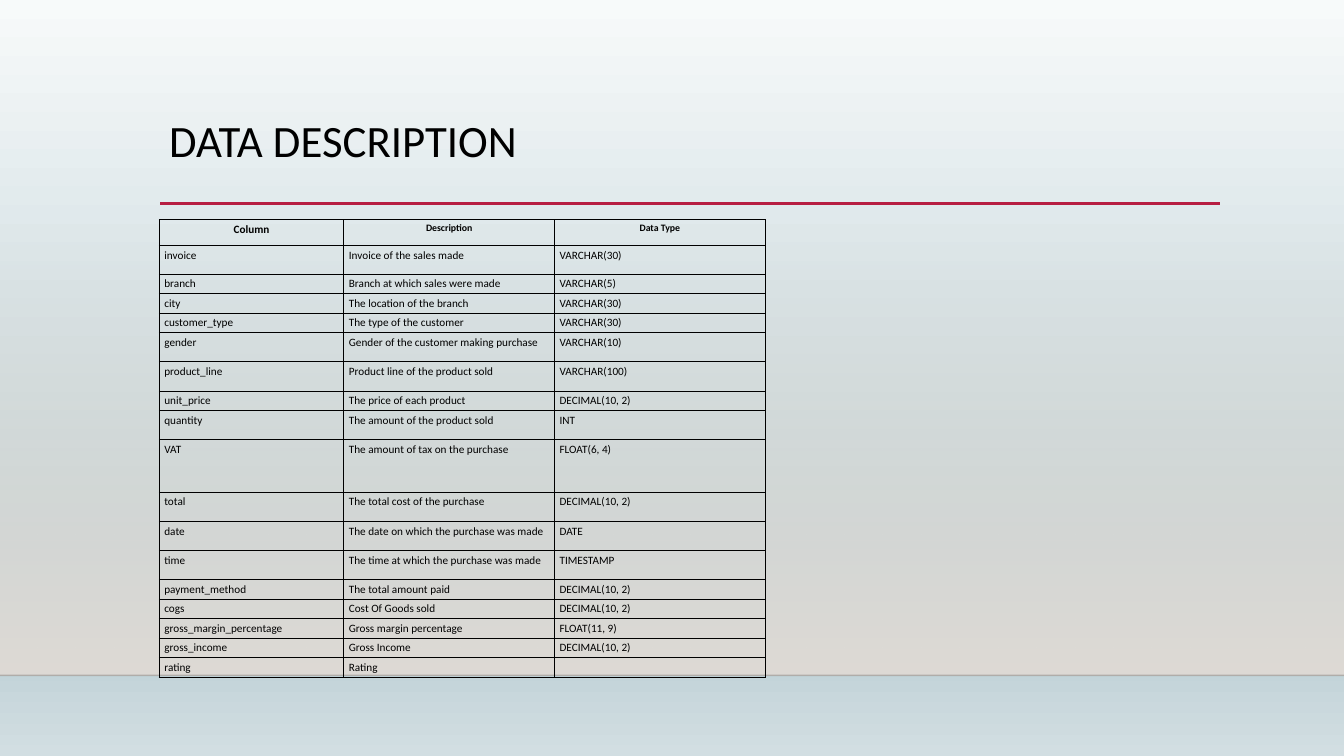
from typing import NamedTuple

import pptx
import pptx.dml.color
import pptx.dml.fill
import pptx.enum.shapes
import pptx.enum.text
import pptx.oxml
import pptx.oxml.ns
import pptx.slide
import pptx.table
import pptx.util
from lxml import etree

Inches = pptx.util.Inches
Pt = pptx.util.Pt
RGBColor = pptx.dml.color.RGBColor
qn = pptx.oxml.ns.qn

FONT = "Calibri"
BLACK = RGBColor(0x00, 0x00, 0x00)
CRIMSON = RGBColor(0xB7, 0x1E, 0x42)
MIST = RGBColor(0xF7, 0xFA, 0xFA)
STEEL = RGBColor(0xBB, 0xCE, 0xD4)
PALE_STEEL = RGBColor(0xD2, 0xDE, 0xE2)
SAND = RGBColor(0xDF, 0xDB, 0xD5)

SLIDE_W, SLIDE_H = 13.33, 7.5
FLOOR_Y = 6.7
COL_WIDTHS = (1.83, 2.09, 2.09)
HEADER_HEIGHT = 0.26
HEADERS = (("Column", 8), ("Description", 7), ("Data Type", 7))


class Stop(NamedTuple):
    position: int
    color: RGBColor
    opacity: int = 100


class Rule(NamedTuple):
    x1: float
    x2: float
    y: float
    color: RGBColor
    width: float
    opacity: int = 100


class Field(NamedTuple):
    name: str
    description: str
    data_type: str
    height: float = 0.19


BACKDROP = (Stop(0, MIST), Stop(74, STEEL), Stop(83, STEEL), Stop(100, PALE_STEEL))
WALL = (Stop(0, SAND, 0), Stop(100, SAND))
RULES = (
    Rule(0, SLIDE_W, FLOOR_Y, BLACK, 1, 20),
    Rule(1.59, 12.1, 2.02, CRIMSON, 2.5),
)
FIELDS = (
    Field("invoice", "Invoice of the sales made", "VARCHAR(30)", 0.28),
    Field("branch", "Branch at which sales were made", "VARCHAR(5)"),
    Field("city", "The location of the branch", "VARCHAR(30)"),
    Field("customer_type", "The type of the customer", "VARCHAR(30)"),
    Field("gender", "Gender of the customer making purchase", "VARCHAR(10)", 0.29),
    Field("product_line", "Product line of the product sold", "VARCHAR(100)", 0.29),
    Field("unit_price", "The price of each product", "DECIMAL(10, 2)"),
    Field("quantity", "The amount of the product sold", "INT", 0.29),
    Field("VAT", "The amount of tax on the purchase", "FLOAT(6, 4)", 0.52),
    Field("total", "The total cost of the purchase", "DECIMAL(10, 2)", 0.29),
    Field("date", "The date on which the purchase was made", "DATE", 0.29),
    Field("time", "The time at which the purchase was made", "TIMESTAMP", 0.29),
    Field("payment_method", "The total amount paid", "DECIMAL(10, 2)"),
    Field("cogs", "Cost Of Goods sold", "DECIMAL(10, 2)"),
    Field("gross_margin_percentage", "Gross margin percentage", "FLOAT(11, 9)"),
    Field("gross_income", "Gross Income", "DECIMAL(10, 2)"),
    Field("rating", "Rating", ""),
)


def add_color(parent: etree.ElementBase, color: RGBColor, opacity: int) -> None:
    clr = etree.SubElement(parent, qn("a:srgbClr"), val=str(color))
    if opacity < 100:
        etree.SubElement(clr, qn("a:alpha"), val=str(opacity * 1000))


def set_gradient(fill: pptx.dml.fill.FillFormat, owner: etree.ElementBase,
                 stops: tuple[Stop, ...]) -> None:
    """Fill owner from top to bottom with the given stops."""
    fill.gradient()
    fill.gradient_angle = 270
    gs_list = owner.xpath(".//a:gsLst")[0]
    for gs in list(gs_list):
        gs_list.remove(gs)
    for stop in stops:
        gs = etree.SubElement(gs_list, qn("a:gs"), pos=str(stop.position * 1000))
        add_color(gs, stop.color, stop.opacity)


def add_rule(s: pptx.slide.Slide, rule: Rule) -> None:
    line = s.shapes.add_connector(
        pptx.enum.shapes.MSO_CONNECTOR.STRAIGHT,
        Inches(rule.x1), Inches(rule.y), Inches(rule.x2), Inches(rule.y))
    line.line.width = Pt(rule.width)
    line.line.color.rgb = rule.color
    if rule.opacity < 100:
        solid = line._element.xpath(".//a:ln/a:solidFill")[0]
        solid.remove(solid[0])
        add_color(solid, rule.color, rule.opacity)
    etree.SubElement(line._element.spPr, qn("a:effectLst"))


def add_title(s: pptx.slide.Slide, text: str) -> None:
    tf = s.shapes.add_textbox(Inches(1.58), Inches(1.13), Inches(10.5), Inches(1.15)).text_frame
    tf.word_wrap = True
    tf.text = text
    p = tf.paragraphs[0]
    p.line_spacing = 0.9
    style_run(p.runs[0], 32)


def style_run(r, size: float, bold: bool = False) -> None:
    r.font.name = FONT
    r.font.size = Pt(size)
    r.font.bold = bold
    r.font.color.rgb = BLACK


def set_borders(cell: pptx.table._Cell) -> None:
    tc_pr = cell._tc.get_or_add_tcPr()
    for i, side in enumerate(("lnL", "lnR", "lnT", "lnB")):
        ln = etree.Element(qn(f"a:{side}"), w=str(Pt(0.75)))
        add_color(etree.SubElement(ln, qn("a:solidFill")), BLACK, 100)
        tc_pr.insert(i, ln)


def fill_cell(cell: pptx.table._Cell, text: str, size: float, header: bool = False) -> None:
    cell.fill.background()
    cell.margin_left = cell.margin_right = Inches(0.05)
    cell.margin_top = cell.margin_bottom = Inches(0.03)
    set_borders(cell)
    cell.text_frame.text = text
    p = cell.text_frame.paragraphs[0]
    p.space_after = Pt(12)
    if header:
        p.alignment = pptx.enum.text.PP_ALIGN.CENTER
    for r in p.runs:
        style_run(r, size, header)
    if not text:
        etree.SubElement(p._p, qn("a:endParaRPr"), sz=str(size * 100))


def add_field_table(s: pptx.slide.Slide) -> None:
    heights = [HEADER_HEIGHT] + [field.height for field in FIELDS]
    table = s.shapes.add_table(
        len(heights), len(COL_WIDTHS), Inches(1.58), Inches(2.18),
        Inches(sum(COL_WIDTHS)), Inches(sum(heights))).table
    table.first_row = table.horz_banding = False
    for column, width in zip(table.columns, COL_WIDTHS):
        column.width = Inches(width)
    for row, height in zip(table.rows, heights):
        row.height = Inches(height)
    for col, (text, size) in enumerate(HEADERS):
        fill_cell(table.cell(0, col), text, size, header=True)
    for row, field in enumerate(FIELDS, start=1):
        for col, text in enumerate((field.name, field.description, field.data_type)):
            fill_cell(table.cell(row, col), text, 8)


def main() -> None:
    prs = pptx.Presentation()
    prs.slide_width, prs.slide_height = Inches(SLIDE_W), Inches(SLIDE_H)
    s = prs.slides.add_slide(prs.slide_layouts[6])
    set_gradient(s.background.fill, s._element, BACKDROP)
    wall = s.shapes.add_shape(
        pptx.enum.shapes.MSO_SHAPE.RECTANGLE,
        Inches(0), Inches(2.21), Inches(SLIDE_W), Inches(FLOOR_Y - 2.21))
    wall.shadow.inherit = False
    wall.line.fill.background()
    set_gradient(wall.fill, wall._element, WALL)
    for rule in RULES:
        add_rule(s, rule)
    add_title(s, "DATA DESCRIPTION")
    add_field_table(s)
    prs.save("out.pptx")


if __name__ == "__main__":
    main()
